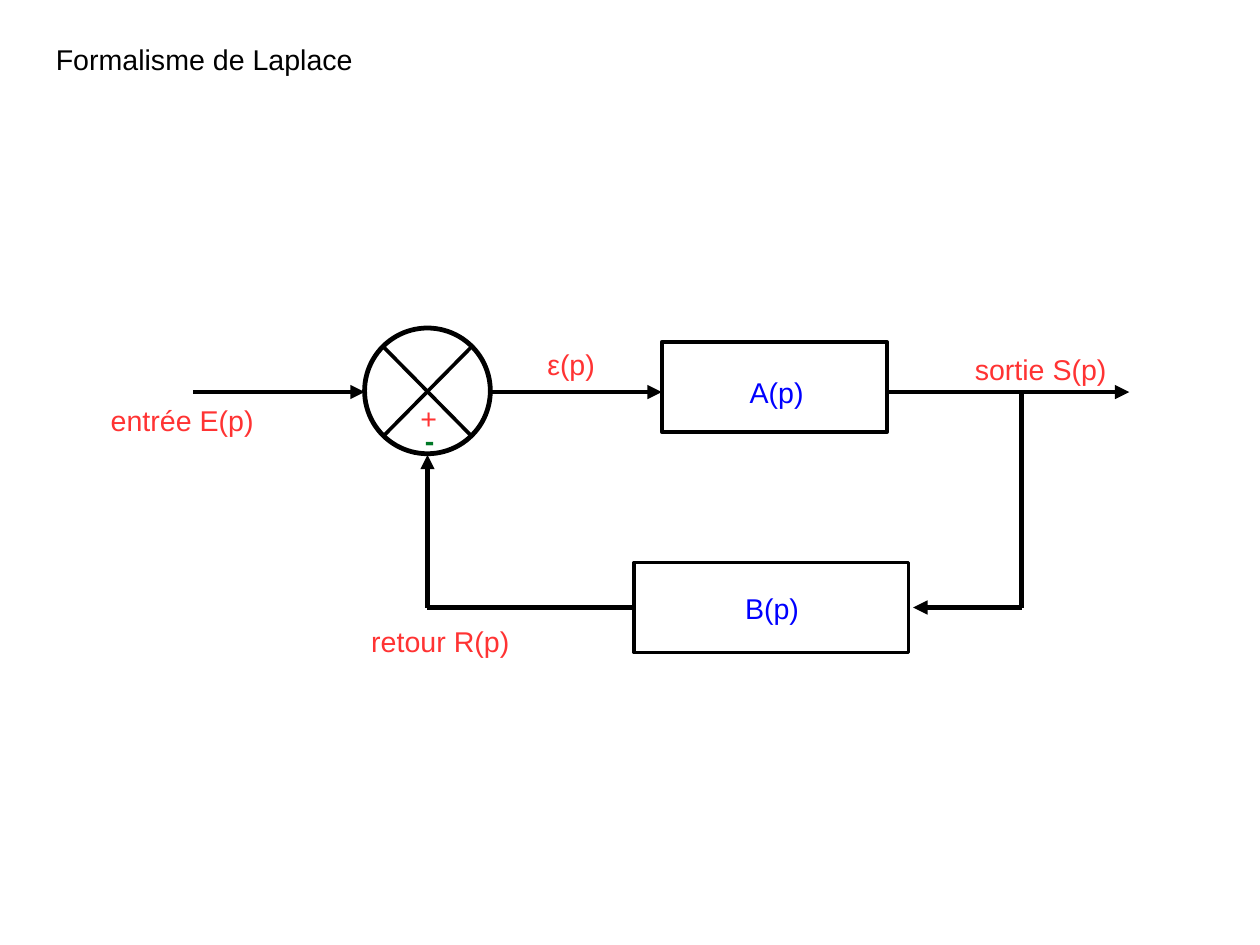
from typing import NamedTuple, Optional

from lxml.etree import SubElement
from pptx import Presentation
from pptx.dml.color import RGBColor
from pptx.enum.shapes import MSO_CONNECTOR, MSO_SHAPE
from pptx.enum.text import MSO_AUTO_SIZE
from pptx.oxml.ns import qn
from pptx.shapes.autoshape import Shape
from pptx.slide import Slide
from pptx.util import Inches, Pt

BLACK = RGBColor(0x00, 0x00, 0x00)
WHITE = RGBColor(0xFF, 0xFF, 0xFF)
RED = RGBColor(0xFF, 0x33, 0x33)
GREEN = RGBColor(0x00, 0x78, 0x26)
BLUE = RGBColor(0x00, 0x00, 0xFF)

# The slide measures 28 by 21 centimetres
CM_PER_INCH = 2.54
SLIDE_WIDTH = 28 / CM_PER_INCH
SLIDE_HEIGHT = 21 / CM_PER_INCH

THICK, THIN = 3, 2.3
BOX_HEIGHT = 0.79
FEEDBACK_TOP = 4.92
FORWARD_Y = 3.43
RETURN_Y = FEEDBACK_TOP + BOX_HEIGHT / 2
SUM_X = 3.74
BRANCH_X = 8.94


class Block(NamedTuple):
    kind: MSO_SHAPE
    left: float
    top: float
    width: float
    height: float
    weight: float


class Wire(NamedTuple):
    x1: float
    y1: float
    x2: float
    y2: float
    arrow: bool = False
    weight: float = THICK
    source: Optional[str] = None  # block whose left side the wire leaves


class Label(NamedTuple):
    text: str
    left: float
    top: float
    width: float
    color: RGBColor = RED
    height: float = 0.38
    bold: bool = False


BLOCKS = {
    "summing": Block(MSO_SHAPE.OVAL, 3.19, 2.87, 1.1, 1.1, THICK),
    "forward": Block(MSO_SHAPE.RECTANGLE, 5.79, 2.99, 1.97, BOX_HEIGHT, THIN),
    "feedback": Block(MSO_SHAPE.RECTANGLE, 5.55, FEEDBACK_TOP, 2.4, BOX_HEIGHT, THIN),
}

WIRES = [
    # Cross of the summing junction
    Wire(4.13, 3.03, 3.35, 3.82, weight=THIN),
    Wire(4.13, 3.82, 3.35, 3.03, weight=THIN),
    # Forward path
    Wire(1.69, FORWARD_Y, 3.19, FORWARD_Y, arrow=True),
    Wire(4.29, FORWARD_Y, 5.79, FORWARD_Y, arrow=True),
    Wire(7.76, FORWARD_Y, 9.88, FORWARD_Y, arrow=True),
    # Return path
    Wire(BRANCH_X, FORWARD_Y, BRANCH_X, RETURN_Y),
    Wire(BRANCH_X, RETURN_Y, 7.99, RETURN_Y, arrow=True),
    Wire(5.55, RETURN_Y, SUM_X, RETURN_Y, source="feedback"),
    Wire(SUM_X, RETURN_Y, SUM_X, 3.98, arrow=True),
]

LABELS = [
    Label("+", 3.58, 3.46, 0.47),
    Label("-", 3.62, 3.65, 0.47, GREEN, height=0.39, bold=True),
    Label("A(p)", 6.46, 3.23, 0.75, BLUE),
    Label("B(p)", 6.42, 5.12, 0.79, BLUE),
    Label("sortie S(p)", 8.43, 3.03, 1.65),
    Label("entrée E(p)", 0.87, 3.48, 1.65),
    Label("retour R(p)", 3.15, 5.41, 1.5),
    Label("ε(p)", 4.69, 2.99, 0.67, height=0.43),
    Label("Formalisme de Laplace", 0.39, 0.32, 4.65, BLACK),
]


def add_block(slide: Slide, block: Block) -> Shape:
    shape = slide.shapes.add_shape(
        block.kind, Inches(block.left), Inches(block.top),
        Inches(block.width), Inches(block.height))
    shape.shadow.inherit = False
    shape.fill.solid()
    shape.fill.fore_color.rgb = WHITE
    shape.line.color.rgb = BLACK
    shape.line.width = Pt(block.weight)
    return shape


def add_wire(slide: Slide, wire: Wire, blocks: dict[str, Shape]) -> None:
    connector = slide.shapes.add_connector(
        MSO_CONNECTOR.STRAIGHT, Inches(wire.x1), Inches(wire.y1),
        Inches(wire.x2), Inches(wire.y2))
    connector.line.color.rgb = BLACK
    connector.line.width = Pt(wire.weight)
    if wire.arrow:
        outline = connector._element.spPr.find(qn("a:ln"))
        SubElement(outline, qn("a:tailEnd"), type="triangle")
    SubElement(connector._element.spPr, qn("a:effectLst"))
    if wire.source:
        connector.begin_connect(blocks[wire.source], 1)


def add_text(slide: Slide, text: str, *, left: float, top: float, width: float,
             height: float, color: RGBColor, bold: bool) -> None:
    box = slide.shapes.add_textbox(
        Inches(left), Inches(top), Inches(width), Inches(height))
    frame = box.text_frame
    frame.word_wrap = True
    frame.auto_size = MSO_AUTO_SIZE.SHAPE_TO_FIT_TEXT
    run = frame.paragraphs[0].add_run()
    run.text = text
    run.font.name = "Arial"
    run.font.size = Pt(18)
    run.font.bold = bold
    run.font.color.rgb = color


def main() -> None:
    presentation = Presentation()
    presentation.slide_width = Inches(SLIDE_WIDTH)
    presentation.slide_height = Inches(SLIDE_HEIGHT)
    slide = presentation.slides.add_slide(presentation.slide_layouts[6])

    # Blocks, then the wires between them, then the labels
    blocks = {name: add_block(slide, block) for name, block in BLOCKS.items()}
    for wire in WIRES:
        add_wire(slide, wire, blocks)
    for label in LABELS:
        add_text(slide, **label._asdict())

    presentation.save("out.pptx")


if __name__ == "__main__":
    main()
